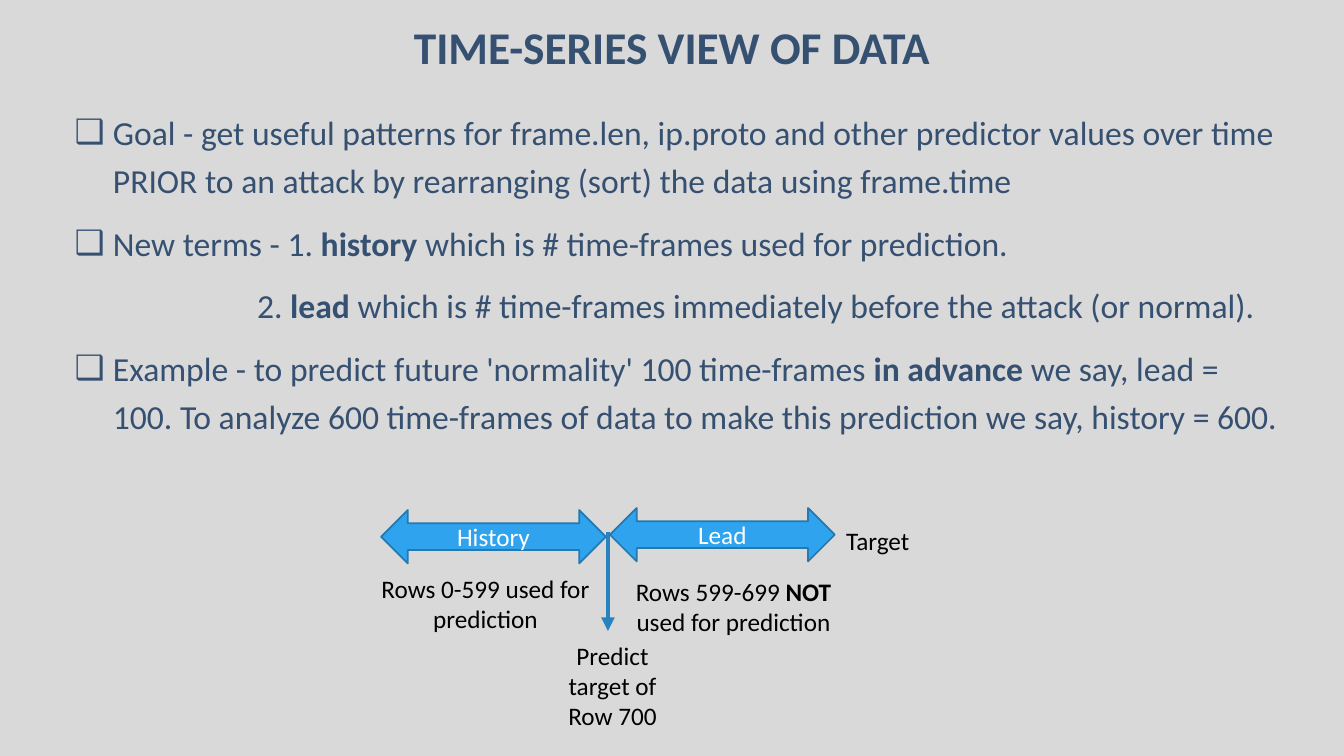
from pptx import Presentation
from pptx.dml.color import RGBColor
from pptx.enum.shapes import MSO_CONNECTOR as Link, MSO_SHAPE as Form
from pptx.enum.text import MSO_ANCHOR as Anchor, MSO_AUTO_SIZE as Fit, PP_ALIGN as Align
from pptx.util import Pt
from lxml.etree import SubElement as Sub
from pptx.oxml.ns import qn

PX = 9144
FONT = "Calibri"
INK = {
    "back": "D9D9D9",
    "text": "355071",
    "label": "000000",
    "white": "FFFFFF",
    "fill": "2FA3EE",
    "edge": "2379B0",
    "line": "2683BF",
}
TITLE = "TIME-SERIES VIEW OF DATA"
ITEMS = [
    (True, [("Goal - get useful patterns for frame.len, ip.proto and other predictor "
             "values over time PRIOR to an attack by rearranging (sort) the data "
             "using frame.time", False)]),
    (True, [("New terms - 1. ", False), ("history", True),
            (" which is # time-frames used for prediction.", False)]),
    (False, [("2. ", False), ("lead", True),
             (" which is # time-frames immediately before the attack (or normal).", False)]),
    (True, [("Example - to predict future 'normality' 100 time-frames ", False),
            ("in advance", True),
            (" we say, lead = 100. To analyze 600 time-frames of data to make this "
             "prediction we say, history = 600.", False)]),
]


def px(*nums):
    return [num * PX for num in nums]


def tint(name):
    return RGBColor.from_string(INK[name])


def write(para, runs, size, color):
    for text, bold in runs:
        run = para.add_run()
        run.text = text
        font = run.font
        font.name, font.size, font.bold = FONT, Pt(size), bold
        font.color.rgb = tint(color)


def place(shape, box):
    shape.left, shape.top, shape.width, shape.height = px(*box)


def head(slide):
    title = slide.shapes.title
    place(title, (100, 18, 1133, 62))
    frame = title.text_frame
    frame.auto_size = Fit.NONE
    frame.vertical_anchor = Anchor.MIDDLE
    para = frame.paragraphs[0]
    para.alignment, para.line_spacing = Align.CENTER, 0.9
    write(para, [(TITLE, True)], 32.4, "text")


def indent(para, mark):
    props = para._p.get_or_add_pPr()
    left, first = px(38, -38) if mark else px(181, 0)
    props.set("marL", str(left))
    props.set("indent", str(first))
    if mark:
        color = Sub(props, qn("a:buClr"))
        Sub(color, qn("a:srgbClr"), val=INK["text"])
        Sub(props, qn("a:buChar"), char="❑")
    else:
        Sub(props, qn("a:buNone"))


def points(slide):
    body = slide.placeholders[1]
    place(body, (64, 98, 1214, 627))
    frame = body.text_frame
    frame.auto_size = Fit.NONE
    frame.vertical_anchor = Anchor.TOP
    for num, (mark, runs) in enumerate(ITEMS):
        para = frame.add_paragraph() if num else frame.paragraphs[0]
        para.line_spacing, para.space_before = 1.2, Pt(10)
        indent(para, mark)
        write(para, runs, 24, "text")


def center(shape, runs, color, anchor):
    frame = shape.text_frame
    frame.word_wrap = True
    frame.vertical_anchor = anchor
    para = frame.paragraphs[0]
    para.alignment = Align.CENTER
    write(para, runs, 18, color)


def label(slide, box, runs, anchor=Anchor.MIDDLE):
    center(slide.shapes.add_textbox(*px(*box)), runs, "label", anchor)


def span(slide, left, top, text):
    shape = slide.shapes.add_shape(Form.LEFT_RIGHT_ARROW, *px(left, top, 223, 53))
    shape.shadow.inherit = False
    shape.fill.solid()
    shape.fill.fore_color.rgb = tint("fill")
    shape.line.color.rgb = tint("edge")
    shape.line.width = Pt(1.25)
    center(shape, [(text, False)], "white", Anchor.MIDDLE)


def arrow(slide, x, top, end):
    link = slide.shapes.add_connector(Link.STRAIGHT, *px(x, top, x, end))
    link.line.color.rgb = tint("line")
    link.line.width = Pt(3.25)
    Sub(link.line._get_or_add_ln(), qn("a:tailEnd"), type="triangle")
    Sub(link._element.spPr, qn("a:effectLst"))


def main():
    deck = Presentation()
    deck.slide_width, deck.slide_height = px(1333, 750)
    slide = deck.slides.add_slide(deck.slide_layouts[1])
    back = slide.background.fill
    back.solid()
    back.fore_color.rgb = tint("back")
    head(slide)
    points(slide)
    label(slide, (816, 512, 109, 48), [("Target", False)])
    span(slide, 378, 506, "History")
    label(slide, (361, 564, 241, 72), [("Rows 0-599 used for prediction", False)], Anchor.TOP)
    arrow(slide, 603, 528, 626)
    label(slide, (545, 631, 125, 98), [("Predict target of Row 700", False)])
    span(slide, 605, 504, "Lead")
    label(slide, (607, 567, 241, 92),
          [("Rows 599-699 ", False), ("NOT", True), (" used for prediction", False)],
          Anchor.TOP)
    deck.save("out.pptx")


if __name__ == "__main__":
    main()
